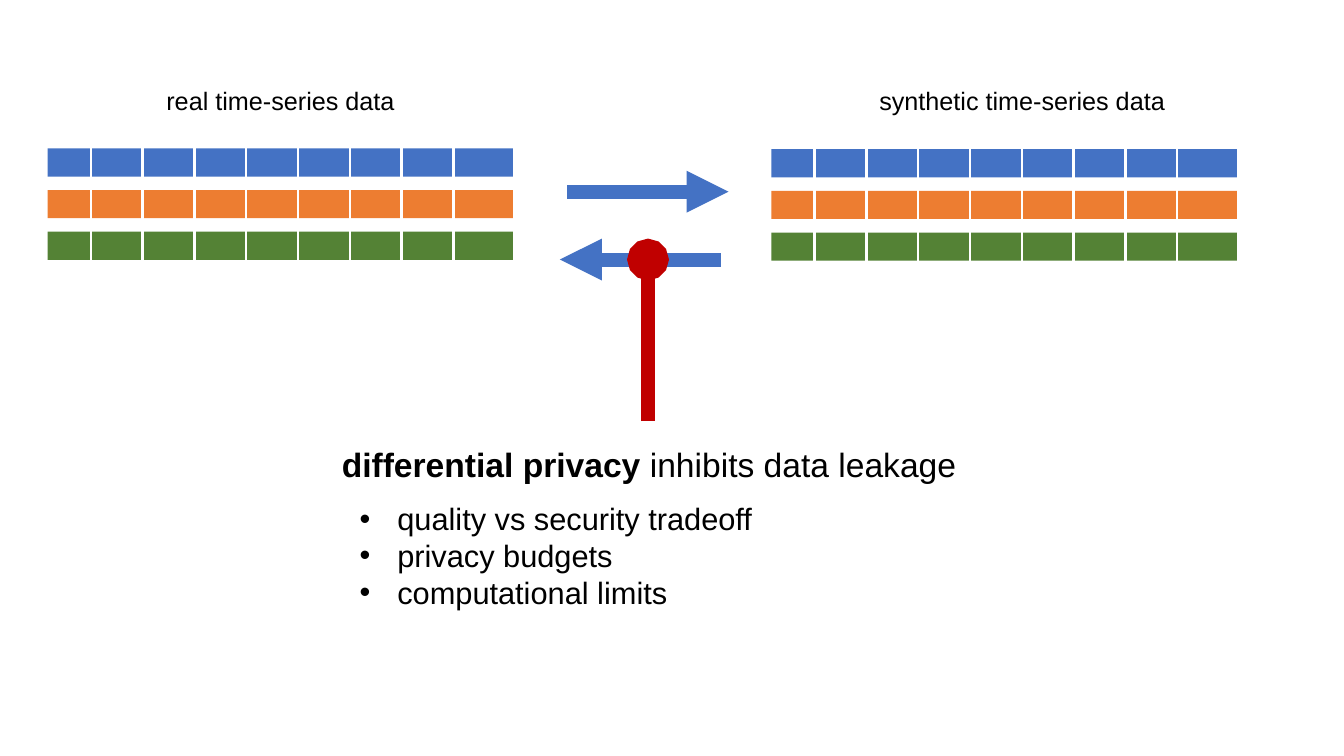
from dataclasses import dataclass

from lxml import etree
from pptx import Presentation
from pptx.dml.color import RGBColor
from pptx.enum import shapes, text
from pptx.oxml import ns
from pptx.util import Cm, Pt


@dataclass(frozen=True)
class Theme:
    font: str = "Arial"
    ink: str = "000000"
    divider: str = "FFFFFF"
    series: tuple = ("4472C4", "ED7D31", "548235")
    flow: str = "4472C4"
    barrier: str = "C00000"
    label_size: float = 18
    title_size: float = 24
    list_size: float = 22
    divider_width: float = 1.75
    flow_width: float = 10


THEME = Theme()


def place(shape, left, top, width, height):
    shape.left, shape.top = Cm(left), Cm(top)
    shape.width, shape.height = Cm(width), Cm(height)


def prepare_frame(shape, wrap=True):
    frame = shape.text_frame
    frame.auto_size = text.MSO_AUTO_SIZE.NONE
    frame.vertical_anchor = text.MSO_ANCHOR.TOP
    frame.word_wrap = wrap
    return frame


def add_text(paragraph, content, size, bold=False, align=None):
    if align is not None:
        paragraph.alignment = align
    run = paragraph.add_run()
    run.text = content
    run.font.name = THEME.font
    run.font.size = Pt(size)
    run.font.bold = bold
    run.font.color.rgb = RGBColor.from_string(THEME.ink)


def add_line(parent, start, end, color, width, **ends):
    """Draw a line; ends may hold headEnd or tailEnd with an arrowhead type."""
    connector = parent.add_connector(
        shapes.MSO_CONNECTOR.STRAIGHT, *(Cm(value) for value in (*start, *end)))
    connector.line.color.rgb = RGBColor.from_string(color)
    connector.line.width = Pt(width)
    properties = connector._element.spPr
    outline = properties.find(ns.qn("a:ln"))
    for tag, kind in ends.items():
        etree.SubElement(outline, ns.qn(f"a:{tag}"), type=kind)
    etree.SubElement(properties, ns.qn("a:effectLst"))


def add_bullet(paragraph, indent):
    properties = paragraph._p.get_or_add_pPr()
    properties.set("marL", str(Cm(indent)))
    properties.set("indent", str(-Cm(indent)))
    etree.SubElement(properties, ns.qn("a:buFont"), typeface=THEME.font)
    etree.SubElement(properties, ns.qn("a:buChar"), char="•")


def add_label(slide, content, center, top, width):
    box = slide.shapes.add_textbox(Cm(center - width / 2), Cm(top), Cm(width), Cm(1.02))
    frame = prepare_frame(box, wrap=False)
    add_text(frame.paragraphs[0], content, THEME.label_size, align=text.PP_ALIGN.CENTER)


def add_series_panel(slide, left, top, width):
    """Three bars, each cut into nine time steps."""
    bar_height, row_pitch = 0.71, 1.05
    first_step, step, overhang = 1.09, 1.305, 0.24
    group = slide.shapes.add_group_shape()
    for row, color in enumerate(THEME.series):
        y = top + row * row_pitch
        bar = group.shapes.add_shape(
            shapes.MSO_SHAPE.RECTANGLE, Cm(left), Cm(y), Cm(width), Cm(bar_height))
        bar.shadow.inherit = False
        bar.fill.solid()
        bar.fill.fore_color.rgb = RGBColor.from_string(color)
        bar.line.fill.background()
        for index in range(8):
            x = left + first_step + index * step
            add_line(group.shapes, (x, y - overhang), (x, y + 1),
                     THEME.divider, THEME.divider_width)


def add_data_flow(slide, left, top, length):
    """Arrows both ways, the way back held by the privacy barrier."""
    back_left, back_top = left - 0.19, top + 1.71
    barrier_x = left + 2.03
    add_line(slide.shapes, (left, top), (left + length, top),
             THEME.flow, THEME.flow_width, tailEnd="triangle")
    add_line(slide.shapes, (back_left, back_top), (back_left + length, back_top),
             THEME.flow, THEME.flow_width, headEnd="triangle")
    add_line(slide.shapes, (barrier_x, back_top + 4.07), (barrier_x, back_top),
             THEME.barrier, THEME.flow_width, tailEnd="oval")


def add_message(slide, left, top, width):
    """Centred headline with the list of consequences below it."""
    title, body = slide.shapes.title, slide.placeholders[1]
    place(title, left, top, width, 1.27)
    headline = prepare_frame(title).paragraphs[0]
    add_text(headline, "differential privacy ", THEME.title_size, bold=True,
             align=text.PP_ALIGN.CENTER)
    add_text(headline, "inhibits data leakage", THEME.title_size)

    place(body, left + 2.36, top + 1.4, width - 3.86, 3.07)
    frame = prepare_frame(body)
    items = ("quality vs security tradeoff", "privacy budgets", "computational limits")
    for index, item in enumerate(items):
        paragraph = frame.add_paragraph() if index else frame.paragraphs[0]
        paragraph.space_before = Pt(0)
        add_bullet(paragraph, 0.95)
        add_text(paragraph, item, THEME.list_size)


def main():
    presentation = Presentation()
    presentation.slide_width, presentation.slide_height = Cm(33.87), Cm(19.05)
    slide = presentation.slides.add_slide(presentation.slide_layouts[1])

    # Real data, synthetic data
    add_series_panel(slide, left=1.2, top=3.74, width=11.73)
    add_series_panel(slide, left=19.44, top=3.76, width=11.73)
    add_label(slide, "real time-series data", center=7.07, top=2.03, width=6.32)
    add_label(slide, "synthetic time-series data", center=25.76, top=2.03, width=7.77)

    # Exchange between them and what limits it
    add_data_flow(slide, left=14.3, top=4.83, length=4.06)
    add_message(slide, left=6.45, top=11.07, width=19.81)

    presentation.save("out.pptx")


if __name__ == "__main__":
    main()
